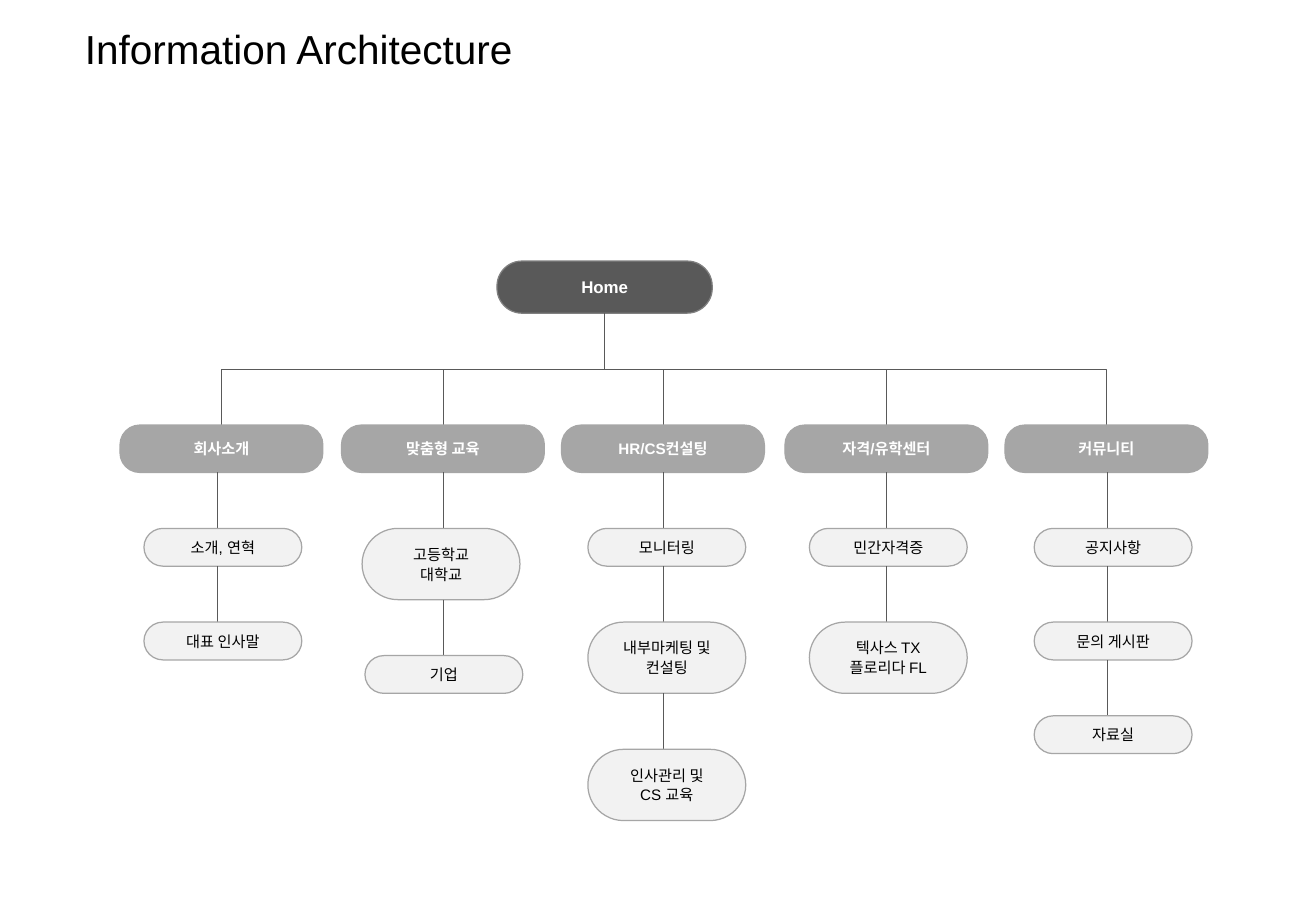
from pptx import Presentation
from pptx.dml.color import RGBColor
from pptx.enum.shapes import MSO_CONNECTOR, MSO_SHAPE
from pptx.enum.text import MSO_ANCHOR, MSO_AUTO_SIZE, PP_ALIGN
from pptx.oxml.ns import qn
from pptx.util import Cm, Pt
from lxml import etree

TITLE = "Information Architecture"
HOME = "Home"
# head left, stem x, child lefts, head text, children
SECTIONS = [
    (2.51, 4.55, (3.01, 3.01), "회사소개", [["소개, 연혁"], ["대표 인사말"]]),
    (7.14, 9.26, (7.57, 7.63), "맞춤형 교육", [["고등학교", "대학교"], ["기업"]]),
    (11.74, 13.87, (12.29, 12.29, 12.29), "HR/CS컨설팅",
     [["모니터링"], ["내부마케팅 및", "컨설팅"], ["인사관리 및", "CS 교육"]]),
    (16.41, 18.54, (16.92, 16.92), "자격/유학센터",
     [["민간자격증"], ["텍사스 TX", "플로리다 FL"]]),
    (21.01, 23.16, (21.62, 21.62, 21.62), "커뮤니티",
     [["공지사항"], ["문의 게시판"], ["자료실"]]),
]

BLACK = RGBColor(0x00, 0x00, 0x00)
WHITE = RGBColor(0xFF, 0xFF, 0xFF)
DARK = RGBColor(0x59, 0x59, 0x59)
EDGE = RGBColor(0x80, 0x80, 0x80)
GRAY = RGBColor(0xA6, 0xA6, 0xA6)
PALE = RGBColor(0xF2, 0xF2, 0xF2)
ROUND = MSO_SHAPE.ROUNDED_RECTANGLE
STRAIGHT = MSO_CONNECTOR.STRAIGHT
ELBOW = MSO_CONNECTOR.ELBOW
LEFT, CENTER = PP_ALIGN.LEFT, PP_ALIGN.CENTER
TOP, MIDDLE = MSO_ANCHOR.TOP, MSO_ANCHOR.MIDDLE
FIT_SHAPE = MSO_AUTO_SIZE.SHAPE_TO_FIT_TEXT

FONT = "Arial"
GAP = 1.17
HOME_X, HOME_Y, HOME_W, HOME_H = 10.39, 5.46, 4.5, 1.09
HEAD_W, HEAD_H = 4.24, 0.99
CHILD_W = 3.3
CHILD_H = {1: 0.79, 2: 1.49}

HOME_STYLE = (DARK, EDGE, WHITE, 10, True, 0.479)
HEAD_STYLE = (GRAY, GRAY, WHITE, 9, True, 0.417)
CHILD_STYLE = (PALE, GRAY, BLACK, 9, False, 0.5)


def add_run(p, text, size, color, bold=False):
    r = p.add_run()
    r.text = text
    r.font.name = FONT
    r.font.size = Pt(size)
    r.font.bold = bold
    r.font.color.rgb = color


def add_box(shapes, x, y, w, h, lines, style):
    fill, edge, color, size, bold, corner = style
    sp = shapes.add_shape(ROUND, Cm(x), Cm(y), Cm(w), Cm(h))
    sp.adjustments[0] = corner
    sp.shadow.inherit = False
    sp.fill.solid()
    sp.fill.fore_color.rgb = fill
    sp.line.color.rgb = edge
    sp.line.width = Pt(0.75)
    tf = sp.text_frame
    tf.word_wrap = True
    tf.vertical_anchor = MIDDLE
    tf.margin_left = tf.margin_right = tf.margin_top = tf.margin_bottom = Cm(0.05)
    for i, line in enumerate(lines):
        p = tf.add_paragraph() if i else tf.paragraphs[0]
        p.alignment = CENTER
        p.space_before = Pt(1)
        add_run(p, line, size, color, bold)


def add_line(shapes, kind, x1, y1, x2, y2):
    cxn = shapes.add_connector(kind, Cm(x1), Cm(y1), Cm(x2), Cm(y2))
    cxn.line.color.rgb = DARK
    cxn.line.width = Pt(0.5)
    sp_pr = cxn._element.spPr
    etree.SubElement(sp_pr, qn("a:effectLst"))
    return sp_pr


def add_branch(shapes, x1, y1, x2, y2):
    mid_x, mid_y = (x1 + x2) / 2, (y1 + y2) / 2
    half_drop, half_span = (y2 - y1) / 2, abs(x2 - x1) / 2
    side = 1 if x2 < x1 else -1
    sp_pr = add_line(shapes, ELBOW, mid_x - side * half_drop, mid_y - half_span,
                     mid_x + side * half_drop, mid_y + half_span)
    turn = 90 if side == 1 else 270
    sp_pr.find(qn("a:xfrm")).set("rot", str(turn * 60000))


def add_title(slide):
    sp = slide.shapes.title
    sp.left, sp.top, sp.width, sp.height = Cm(1.52), Cm(0.38), Cm(9.98), Cm(1.27)
    tf = sp.text_frame
    tf.word_wrap = False
    tf.auto_size = FIT_SHAPE
    tf.vertical_anchor = TOP
    p = tf.paragraphs[0]
    p.alignment = LEFT
    add_run(p, TITLE, 24, BLACK)


def main():
    prs = Presentation()
    prs.slide_width, prs.slide_height = Cm(27.51), Cm(19.05)
    slide = prs.slides.add_slide(prs.slide_layouts[5])
    shapes = slide.shapes
    add_title(slide)

    home_bottom = HOME_Y + HOME_H
    head_y = home_bottom + 2 * GAP
    add_box(shapes, HOME_X, HOME_Y, HOME_W, HOME_H, [HOME], HOME_STYLE)
    for head_x, stem_x, child_lefts, head, children in SECTIONS:
        add_branch(shapes, HOME_X + HOME_W / 2, home_bottom,
                   head_x + HEAD_W / 2, head_y)
        add_box(shapes, head_x, head_y, HEAD_W, HEAD_H, [head], HEAD_STYLE)
        bottom = head_y + HEAD_H
        for child_x, lines in zip(child_lefts, children):
            y, h = bottom + GAP, CHILD_H[len(lines)]
            add_line(shapes, STRAIGHT, stem_x, bottom, stem_x, y)
            add_box(shapes, child_x, y, CHILD_W, h, lines, CHILD_STYLE)
            bottom = y + h

    prs.save("out.pptx")


if __name__ == "__main__":
    main()
